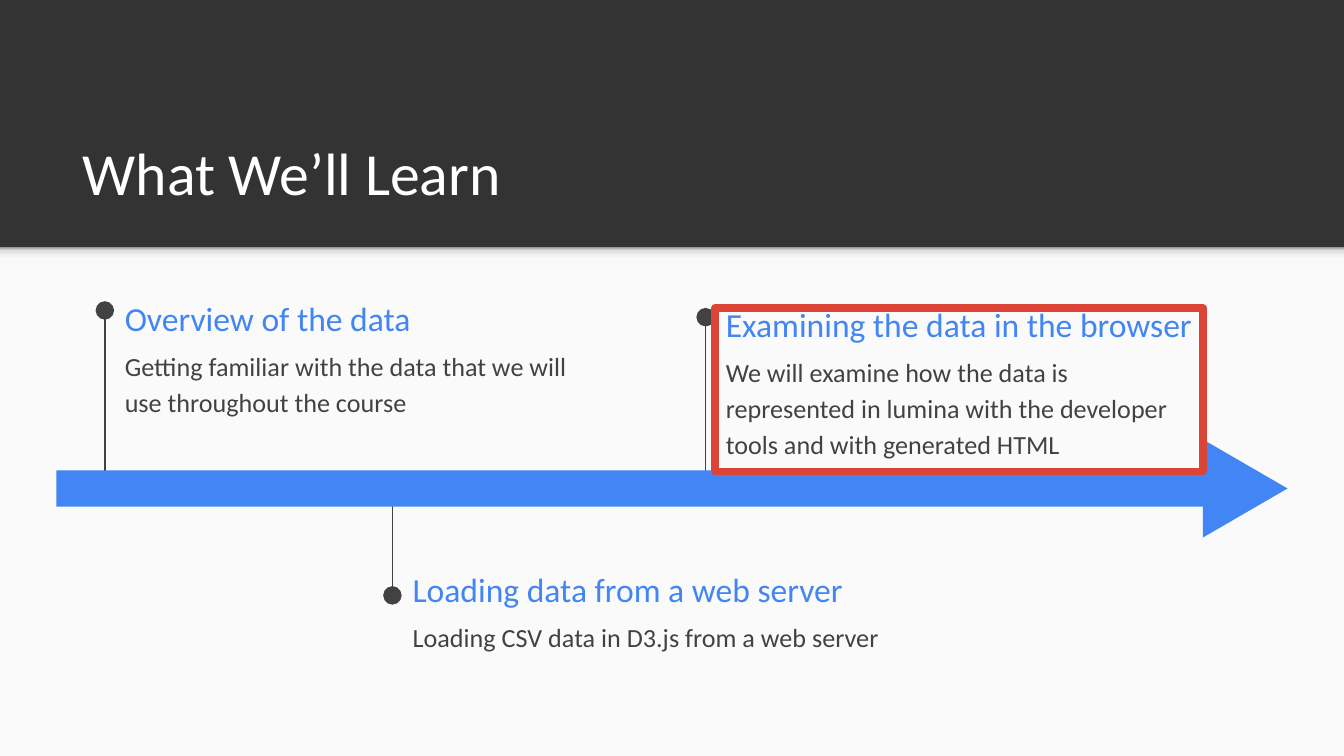
from copy import deepcopy

from lxml.etree import SubElement
from pptx import Presentation
from pptx.dml.color import RGBColor
from pptx.enum.shapes import MSO_CONNECTOR, MSO_SHAPE
from pptx.enum.text import MSO_ANCHOR, MSO_AUTO_SIZE, PP_ALIGN
from pptx.oxml.ns import qn
from pptx.util import Inches, Pt

FONT = "Calibri"
COLS, ROWS = 100, 56.25
EDGE = 18.4
HUES = {
    "dark": "333333", "paper": "FAFAFA", "ink": "424242",
    "blue": "4285F4", "red": "DB4437", "white": "FFFFFF",
}
SHADE = [(0, "F9F9F9"), (0.36, "F9F9F9"), (0.8, "DEDEDE"), (1, "999999")]

# Stem column, stem foot row, dot row, heading drop from dot, widths, texts
STEPS = [
    (7.8, 35.8, 23.1, -1.6, 40.8, 35.8, "Overview of the data",
     "Getting familiar with the data that we will use throughout the course"),
    (29.2, 37, 44.3, -2.6, 39.2, 37.5, "Loading data from a web server",
     "Loading CSV data in D3.js from a web server"),
    (52.5, 36.3, 23.6, -1.6, 37.5, 35.8, "Examining the data in the browser",
     "We will examine how the data is represented in lumina with the "
     "developer tools and with generated HTML"),
]


def cell(*nums):
    """Turn columns and rows of a tenth-inch grid into lengths."""
    return [Inches(n / 10) for n in nums]


def hue(name):
    return RGBColor.from_string(HUES[name])


def place(shape, box):
    shape.left, shape.top, shape.width, shape.height = cell(*box)


def write(shape, text, size, color, anchor, prose=False):
    frame = shape.text_frame
    frame.word_wrap = True
    frame.auto_size = MSO_AUTO_SIZE.NONE
    frame.vertical_anchor = anchor
    frame.margin_left = frame.margin_right = Inches(0.1)
    frame.margin_top = frame.margin_bottom = Inches(0.1)
    para = frame.paragraphs[0]
    props = para._p.get_or_add_pPr()
    props.set("marL", "0")
    props.set("indent", "0")
    SubElement(props, qn("a:buNone"))
    para.alignment = PP_ALIGN.LEFT
    para.space_before = Pt(0)
    para.line_spacing = 1.15 if prose else 1.0
    para.space_after = Pt(16 if prose else 0)
    run = para.add_run()
    run.text = text
    font = run.font
    font.name, font.size, font.bold = FONT, Pt(size), False
    font.color.rgb = hue(color)


def block(shapes, kind, box, color=None):
    shape = shapes.add_shape(kind, *cell(*box))
    shape.shadow.inherit = False
    shape.line.fill.background()
    if color:
        shape.fill.solid()
        shape.fill.fore_color.rgb = hue(color)
    else:
        shape.fill.background()
    return shape


def shade(shape):
    """Fade the shape from grey at its top edge to near white."""
    fill = shape.fill
    fill.gradient()
    fill.gradient_angle = 90
    stops = shape._element.spPr.find(qn("a:gradFill")).find(qn("a:gsLst"))
    while len(stops) < len(SHADE):
        stops.append(deepcopy(stops[0]))
    for stop, (pos, color) in zip(fill.gradient_stops, SHADE):
        stop.position = pos
        stop.color.rgb = RGBColor.from_string(color)


def paper(slide):
    """Lay the light sheet and its shaded edge behind the text."""
    sheet = block(slide.shapes, MSO_SHAPE.RECTANGLE,
                  (0, EDGE, COLS, ROWS - EDGE), "paper")
    edge = block(slide.shapes, MSO_SHAPE.RECTANGLE, (0, EDGE, COLS, 1.2))
    shade(edge)
    for spot, shape in enumerate((sheet, edge), 2):
        slide.shapes._spTree.insert(spot, shape._element)


def stem(slide, col, foot, dot):
    line = slide.shapes.add_connector(
        MSO_CONNECTOR.STRAIGHT, *cell(col, foot, col, dot))
    line.line.color.rgb = hue("ink")
    line.line.width = Pt(0.75)
    SubElement(line.line._get_or_add_ln(), qn("a:tailEnd"),
               type="oval", w="lg", len="lg")
    SubElement(line._element.spPr, qn("a:effectLst"))


def step(slide, holders, data):
    col, foot, dot, drop, wide, span, head, text = data
    stem(slide, col, foot, dot)
    left, top = col + 0.5, dot + drop
    boxes = [(left, top, wide, 4.3), (left, top + 3.2, span, 6.3)]
    if not holders:
        holders = [slide.shapes.add_textbox(*cell(*box)) for box in boxes]
    for shape, box in zip(holders, boxes):
        place(shape, box)
    write(holders[0], head, 18, "blue", MSO_ANCHOR.MIDDLE)
    write(holders[1], text, 14, "ink", MSO_ANCHOR.TOP, prose=True)


def arrow(slide):
    group = slide.shapes.add_group_shape()
    tip = block(group.shapes, MSO_SHAPE.ISOSCELES_TRIANGLE,
                (89, 33.2, 7.3, 6.3), "blue")
    tip.rotation = 90
    block(group.shapes, MSO_SHAPE.RECTANGLE, (4.2, 35, 86.4, 2.7), "blue")


def main():
    deck = Presentation()
    deck.slide_width, deck.slide_height = cell(COLS, ROWS)
    slide = deck.slides.add_slide(deck.slide_layouts.get_by_name("Comparison"))
    back = slide.background.fill
    back.solid()
    back.fore_color.rgb = hue("dark")
    paper(slide)

    title, *slots = slide.placeholders
    place(title, (5.15, 8.05, 89.9, 8.4))
    write(title, "What We’ll Learn", 32, "white", MSO_ANCHOR.BOTTOM)
    for holders, data in zip(([], slots[:2], slots[2:]), STEPS):
        step(slide, holders, data)

    arrow(slide)
    frame = block(slide.shapes, MSO_SHAPE.RECTANGLE, (53.2, 22.9, 36.3, 12.2))
    frame.line.color.rgb = hue("red")
    frame.line.width = Pt(4)
    deck.save("out.pptx")


if __name__ == "__main__":
    main()
